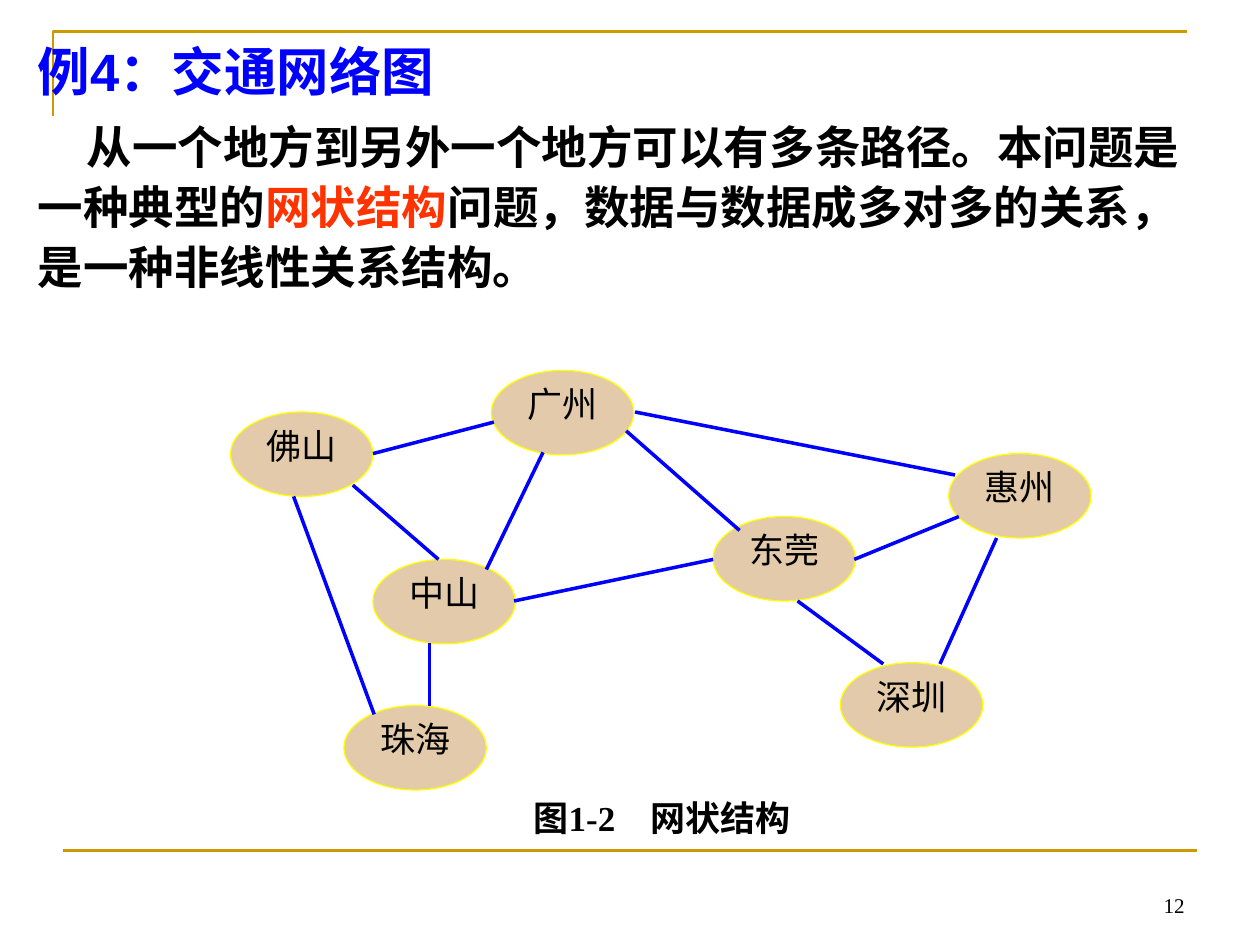
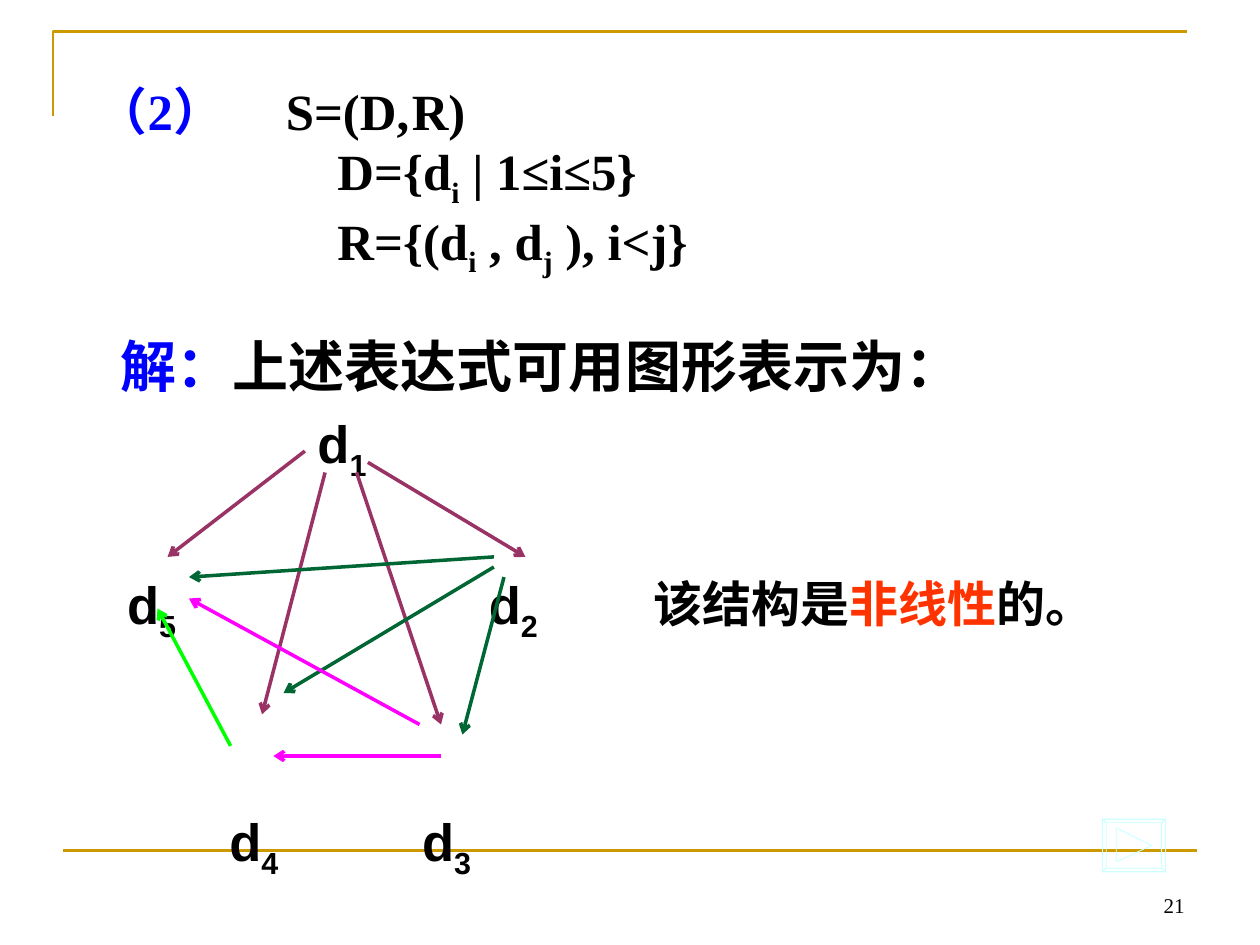
import pptx
import pptx.dml.color
import pptx.enum.shapes
import pptx.enum.text
import pptx.oxml
import pptx.oxml.ns
import pptx.util
from pptx.util import Inches

qn = pptx.oxml.ns.qn
ALIGN = pptx.enum.text.PP_ALIGN
ANCHOR = pptx.enum.text.MSO_ANCHOR

BLACK, BLUE, RED, GOLD = "000000", "0000FF", "FF3300", "CC9900"
PLUM, GREEN, MAGENTA, LIME = "993366", "006633", "FF00FF", "00FF00"
SAND, YELLOW, PALE = "E2CAAA", "FFFF00", "CCFFFF"
SERIF, SANS, CHINESE = "Times New Roman", "Arial", "Noto Sans CJK SC"


def color(value):
    return pptx.dml.color.RGBColor.from_string(value)


def add_xml(parent, tag, **attributes):
    child = parent.makeelement(qn(tag), attributes)
    parent.append(child)
    return child


class Page:
    def __init__(self, deck, number):
        self.slide = deck.slides.add_slide(deck.slide_layouts[6])
        self.shapes = self.slide.shapes
        self.outline([[(0.42, 0.92), (0.42, 0.25), (9.42, 0.25)]], GOLD, 1.5, False)
        self.line((0.5, 6.75), (9.5, 6.75), GOLD, 1.5)
        footer = self.text(7.17, 6.83, 2.33, 0.5, anchor=ANCHOR.BOTTOM)
        self.para(footer, [(number, BLACK)], 12, bold=False, align=ALIGN.RIGHT)

    def stroke(self, shape, value, width):
        shape.line.color.rgb = color(value)
        shape.line.width = pptx.util.Pt(width)

    def line(self, start, end, value, width=2, arrow=False):
        connector = self.shapes.add_connector(
            pptx.enum.shapes.MSO_CONNECTOR.STRAIGHT,
            *(Inches(number) for number in start + end))
        self.stroke(connector, value, width)
        properties = connector._element.spPr
        if arrow:
            add_xml(properties.find(qn("a:ln")), "a:tailEnd", type="arrow")
        add_xml(properties, "a:effectLst")

    def outline(self, contours, value, width, close=True):
        points = [[(Inches(x), Inches(y)) for x, y in contour] for contour in contours]
        builder = self.shapes.build_freeform(*points[0][0])
        for index, contour in enumerate(points):
            if index:
                builder.move_to(*contour[0])
            builder.add_line_segments(contour[1:], close=close)
        shape = builder.convert_to_shape()
        shape.fill.background()
        shape.shadow.inherit = False
        self.stroke(shape, value, width)

    def margins(self, frame, horizontal, vertical):
        frame.margin_left = frame.margin_right = Inches(horizontal)
        frame.margin_top = frame.margin_bottom = Inches(vertical)

    def text(self, left, top, width, height, wrap=True, anchor=ANCHOR.TOP):
        box = self.shapes.add_textbox(*map(Inches, (left, top, width, height)))
        frame = box.text_frame
        frame.word_wrap = wrap
        frame.vertical_anchor = anchor
        self.margins(frame, 0.1, 0.05)
        return frame

    def para(self, frame, spans, size, name=SERIF, bold=True, align=ALIGN.LEFT,
             spacing=None, before=None, left=0, indent=0, tabs=()):
        para = frame.paragraphs[0]
        if para.runs:
            para = frame.add_paragraph()
        para.alignment = align
        if spacing:
            para.line_spacing = spacing
        if before:
            para.space_before = pptx.util.Pt(before)
        properties = para._p.get_or_add_pPr()
        properties.set("marL", str(Inches(left)))
        properties.set("indent", str(Inches(indent)))
        if tabs:
            stops = add_xml(properties, "a:tabLst")
            for stop in tabs:
                add_xml(stops, "a:tab", pos=str(Inches(stop)), algn="l")
        para.font.size = pptx.util.Pt(size)
        para.font.name = name
        para.font.bold = bold
        latin = next(properties.iter(qn("a:latin")))
        latin.addnext(latin.makeelement(qn("a:ea"), {"typeface": CHINESE}))
        for words, value, *subscript in spans:
            span = para.add_run()
            span.text = words
            span.font.color.rgb = color(value)
            if subscript:
                span._r.get_or_add_rPr().set("baseline", "-25000")

    def city(self, name, left, top):
        oval = self.shapes.add_shape(
            pptx.enum.shapes.MSO_SHAPE.OVAL,
            *map(Inches, (left, top, 1.13, 0.67)))
        oval.shadow.inherit = False
        oval.fill.solid()
        oval.fill.fore_color.rgb = color(SAND)
        self.stroke(oval, YELLOW, 0.75)
        self.margins(oval.text_frame, 0, 0)
        oval.text_frame.vertical_anchor = ANCHOR.TOP
        self.para(oval.text_frame, [(name, BLACK)], 20, bold=False, align=ALIGN.CENTER)

    def vertex(self, index, left, top):
        frame = self.text(left, top, 0.6, 0.5, wrap=False)
        self.margins(frame, 0, 0)
        self.para(frame, [("d", BLACK), (index, BLACK, True)], 30, SANS)


def build_traffic_network(deck):
    page = Page(deck, "12")
    intro = page.text(0.2, 0.21, 9.58, 2.36)
    page.para(intro, [("例4：交通网络图", BLUE)], 30, SANS, spacing=1.1)
    page.para(intro, [
        ("从一个地方到另外一个地方可以有多条路径。本问题是一种典型的", BLACK),
        ("网状结构", RED),
        ("问题，数据与数据成多对多的关系，是一种非线性关系结构。", BLACK),
    ], 26, SANS, spacing=1.1, before=6.5, indent=0.39)

    cities = {
        "佛山": (1.83, 3.27), "惠州": (7.53, 3.6), "广州": (3.9, 2.94),
        "中山": (2.96, 4.44), "东莞": (5.66, 4.1), "深圳": (6.67, 5.26),
        "珠海": (2.73, 5.6),
    }
    for name, place in cities.items():
        page.city(name, *place)

    roads = [
        ((3.41, 5.6), (3.41, 5.1)), ((3.48, 4.44), (2.8, 3.85)),
        ((5.66, 4.44), (4.08, 4.77)), ((5.87, 4.21), (4.97, 3.42)),
        ((7.01, 5.27), (6.33, 4.77)), ((7.46, 5.27), (7.91, 4.27)),
        ((7.58, 3.77), (5.04, 3.27)), ((3.86, 4.52), (4.31, 3.59)),
        ((3.92, 3.35), (2.96, 3.6)), ((7.61, 4.1), (6.78, 4.44)),
        ((2.97, 5.67), (2.33, 3.94)),
    ]
    for start, end in roads:
        page.line(start, end, BLUE)

    caption = page.text(3.92, 6.24, 2.67, 0.5, anchor=ANCHOR.MIDDLE)
    page.para(caption, [("图1-2　网状结构", BLACK)], 20, align=ALIGN.CENTER)


def build_relation_graph(deck):
    page = Page(deck, "21")
    formula = page.text(0.67, 0.58, 8.42, 1.75)
    page.para(formula, [("（2）", BLUE), ("\tS=(D,\tR)", BLACK)], 29, tabs=(1.39, 2.57))
    page.para(formula, [("D={d", BLACK), ("i", BLACK, True), (" | 1≤i≤5}", BLACK)],
              29, left=1.91)
    page.para(formula, [
        ("R={(d", BLACK), ("i", BLACK, True), (" , d", BLACK),
        ("j", BLACK, True), (" ), i<j}", BLACK),
    ], 29, left=1.91)

    vertices = {
        "1": (2.52, 3.26), "5": (1.01, 4.54), "2": (3.88, 4.54),
        "4": (1.82, 6.42), "3": (3.35, 6.42),
    }
    for index, place in vertices.items():
        page.vertex(index, *place)

    arrows = {
        PLUM: [((2.42, 3.58), (1.33, 4.42)), ((2.92, 3.67), (4.17, 4.42)),
               ((2.58, 3.75), (2.08, 5.67)), ((2.83, 3.75), (3.5, 5.75))],
        GREEN: [((4, 4.58), (3.67, 5.83)), ((3.92, 4.5), (2.25, 5.5)),
                ((3.92, 4.42), (1.5, 4.58))],
        MAGENTA: [((3.5, 6), (2.17, 6)), ((3.33, 5.75), (1.5, 4.75))],
        LIME: [((1.83, 5.92), (1.25, 4.83))],
    }
    for value, pairs in arrows.items():
        for start, end in pairs:
            page.line(start, end, value, arrow=True)

    verdict = page.text(5.09, 4.5, 3.69, 0.57, wrap=False)
    page.para(verdict, [("该结构是", BLACK), ("非线性", RED), ("的。", BLACK)], 28)
    answer = page.text(0.86, 2.58, 6.87, 0.64, wrap=False)
    page.para(answer, [("解：", BLUE), ("上述表达式可用图形表示为：", BLACK)], 32)

    outer = [(8.75, 6.5), (9.25, 6.5), (9.25, 6.92), (8.75, 6.92)]
    inner = [(8.78, 6.53), (9.22, 6.53), (9.22, 6.89), (8.78, 6.89)]
    bevels = [[outer[i - 1], outer[i], inner[i], inner[i - 1]] for i in range(4)]
    triangle = [(8.86, 6.57), (9.14, 6.71), (8.86, 6.84)]
    page.outline([outer, *bevels, triangle], PALE, 0.5)


def main():
    deck = pptx.Presentation()
    deck.slide_width = Inches(10)
    deck.slide_height = Inches(7.5)
    build_traffic_network(deck)
    build_relation_graph(deck)
    deck.save("out.pptx")


if __name__ == "__main__":
    main()
